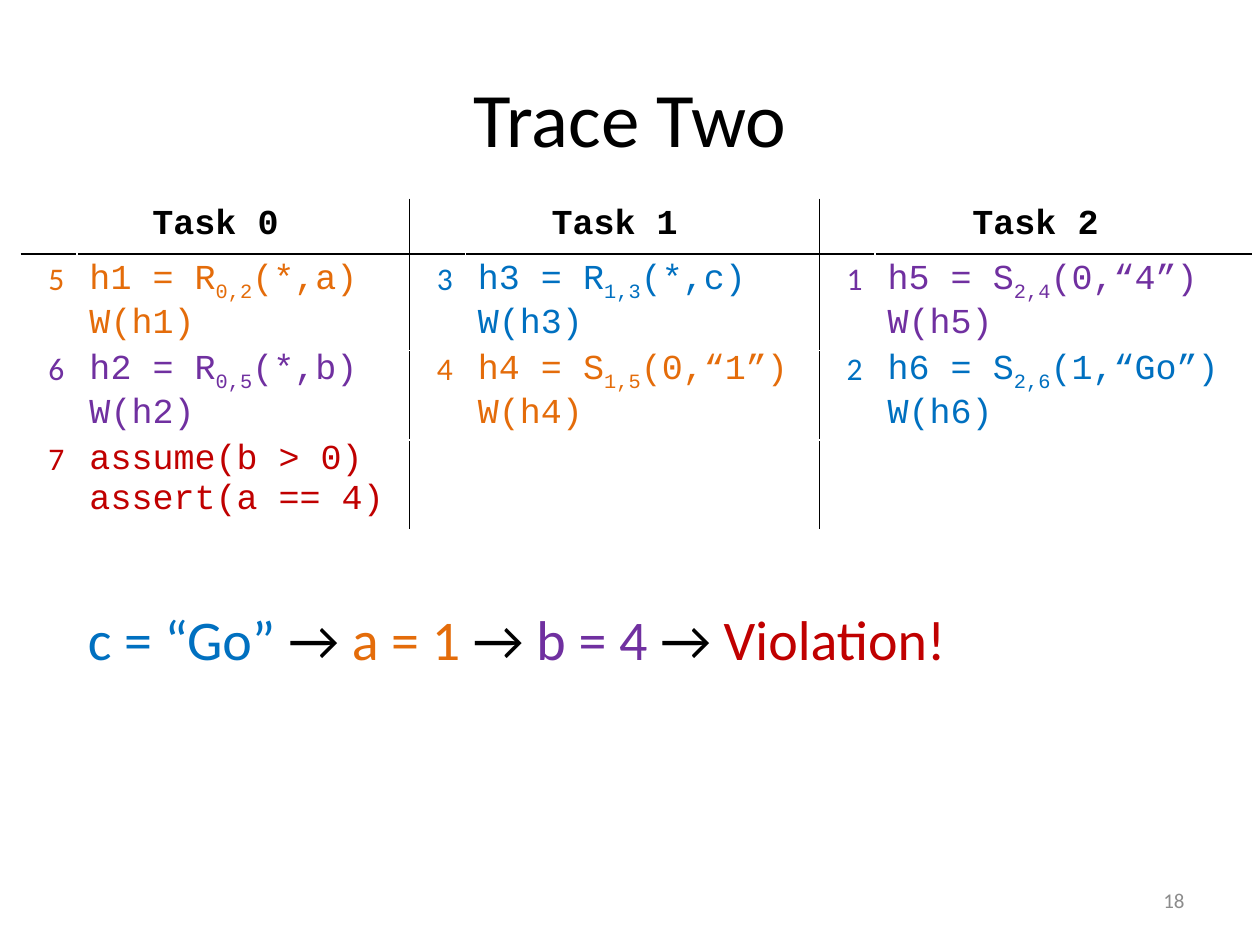
from typing import NamedTuple

from lxml.etree import SubElement
from pptx import Presentation
from pptx.dml.color import RGBColor
from pptx.enum.text import MSO_ANCHOR as Anchor, PP_ALIGN as Align
from pptx.oxml.ns import qn
from pptx.util import Cm, Pt

COLORS = {
    "black": "000000",
    "white": "FFFFFF",
    "gray": "8C8C8C",
    "orange": "E46C0A",
    "blue": "0070C0",
    "purple": "7030A0",
    "red": "C00000",
}
BODY_FONT, CODE_FONT = "Calibri", "Courier New"


class Step(NamedTuple):
    number: int
    color: str
    lines: list[tuple[str, ...]]  # every second piece of a line is a subscript


class Task(NamedTuple):
    name: str
    code_width: float
    steps: list[Step]


def call(handle: str, operation: str, index: str, arguments: str) -> list[tuple[str, ...]]:
    """A non-blocking send or receive, followed by its wait."""
    return [(f"{handle} = {operation}", index, arguments), (f"W({handle})",)]


TASKS = [
    Task("Task 0", 6.71, [
        Step(5, "orange", call("h1", "R", "0,2", "(*,a)")),
        Step(6, "purple", call("h2", "R", "0,5", "(*,b)")),
        Step(7, "red", [("assume(b > 0)",), ("assert(a == 4)",)]),
    ]),
    Task("Task 1", 7.14, [
        Step(3, "blue", call("h3", "R", "1,3", "(*,c)")),
        Step(4, "orange", call("h4", "S", "1,5", "(0,“1”)")),
    ]),
    Task("Task 2", 7.59, [
        Step(1, "purple", call("h5", "S", "2,4", "(0,“4”)")),
        Step(2, "blue", call("h6", "S", "2,6", "(1,“Go”)")),
    ]),
]
NUMBER_WIDTH = 1.12
ROW_HEIGHTS = [1.05, 1.8, 1.67, 1.8]
CONCLUSION = [("c = “Go” ", "blue"), ("a = 1 ", "orange"), ("b = 4 ", "purple"), ("Violation!", "red")]


def add_span(para, text: str, *, size: float, color: str = "black", font: str = BODY_FONT,
             bold: bool = False, subscript: bool = False) -> None:
    span = para.add_run()
    span.text = text
    span.font.size = Pt(size)
    span.font.name = font
    span.font.bold = bold
    span.font.color.rgb = RGBColor.from_string(COLORS[color])
    if subscript:
        span.font._element.set("baseline", "-25000")


def add_text_box(page, left: float, top: float, width: float, height: float, *, wrap: bool = True):
    frame = page.shapes.add_textbox(Cm(left), Cm(top), Cm(width), Cm(height)).text_frame
    frame.word_wrap = wrap
    return frame


def draw_borders(cell, sides: str) -> None:
    """Rule the given sides, named by the letters L, R, T and B in that order."""
    properties = cell._tc.get_or_add_tcPr()
    for position, side in enumerate(sides):
        line = SubElement(properties, qn(f"a:ln{side}"), w=str(Pt(1)))
        fill = SubElement(line, qn("a:solidFill"))
        SubElement(fill, qn("a:srgbClr"), val=COLORS["black"])
        properties.insert(position, line)


def style_cell(cell, row: int, column: int, last_column: int) -> None:
    cell.fill.solid()
    cell.fill.fore_color.rgb = RGBColor.from_string(COLORS["white"])
    if row > 0:
        cell.margin_top = Cm(0.13 if row == 1 else 0)
        cell.margin_bottom = 0
    starts_task = column % 2 == 0
    sides = "L" if starts_task and column > 0 else ""
    sides += "R" if not starts_task and column < last_column else ""
    sides += {0: "B", 1: "T"}.get(row, "")
    draw_borders(cell, sides)


def write_step(number_cell, code_cell, step: Step) -> None:
    para = number_cell.text_frame.paragraphs[0]
    para.alignment = Align.RIGHT
    add_span(para, str(step.number), size=18, color=step.color)
    frame = code_cell.text_frame
    for index, line in enumerate(step.lines):
        para = frame.add_paragraph() if index else frame.paragraphs[0]
        for position, piece in enumerate(line):
            add_span(para, piece, size=20, color=step.color, font=CODE_FONT,
                     subscript=position % 2 == 1)


def add_trace_table(page, left: float, top: float, tasks: list[Task]) -> None:
    widths = [width for task in tasks for width in (NUMBER_WIDTH, task.code_width)]
    table = page.shapes.add_table(len(ROW_HEIGHTS), len(widths), Cm(left), Cm(top),
                                  Cm(sum(widths)), Cm(sum(ROW_HEIGHTS))).table
    table.first_row = table.horz_banding = False
    for column, width in zip(table.columns, widths):
        column.width = Cm(width)
    for row, height in zip(table.rows, ROW_HEIGHTS):
        row.height = Cm(height)
    for row in range(len(ROW_HEIGHTS)):
        for column in range(len(widths)):
            style_cell(table.cell(row, column), row, column, len(widths) - 1)

    for index, task in enumerate(tasks):
        number_column, code_column = 2 * index, 2 * index + 1
        header = table.cell(0, number_column)
        header.merge(table.cell(0, code_column))
        if index < len(tasks) - 1:
            draw_borders(header, "R") if index == 0 else None
        para = header.text_frame.paragraphs[0]
        para.alignment = Align.CENTER
        add_span(para, task.name, size=20, font=CODE_FONT, bold=True)
        for row, step in enumerate(task.steps, start=1):
            write_step(table.cell(row, number_column), table.cell(row, code_column), step)


def main() -> None:
    deck = Presentation()
    deck.slide_width, deck.slide_height = Cm(25.4), Cm(19.05)
    page = deck.slides.add_slide(deck.slide_layouts[5])

    title = page.shapes.title
    title.left, title.top, title.width, title.height = Cm(1.27), Cm(0.76), Cm(22.86), Cm(3.18)
    title.text_frame.vertical_anchor = Anchor.MIDDLE
    para = title.text_frame.paragraphs[0]
    para.alignment = Align.CENTER
    add_span(para, "Trace Two", size=44)

    frame = add_text_box(page, 18.2, 17.65, 5.93, 1.01)
    frame.vertical_anchor = Anchor.MIDDLE
    frame.paragraphs[0].alignment = Align.RIGHT
    add_span(frame.paragraphs[0], "18", size=12, color="gray")

    add_trace_table(page, 0.43, 4.02, TASKS)

    para = add_text_box(page, 1.52, 12.07, 18.31, 1.63, wrap=False).paragraphs[0]
    for index, (text, color) in enumerate(CONCLUSION):
        if index:
            add_span(para, "→ ", size=32)
        add_span(para, text, size=32, color=color)

    deck.save("out.pptx")


if __name__ == "__main__":
    main()
